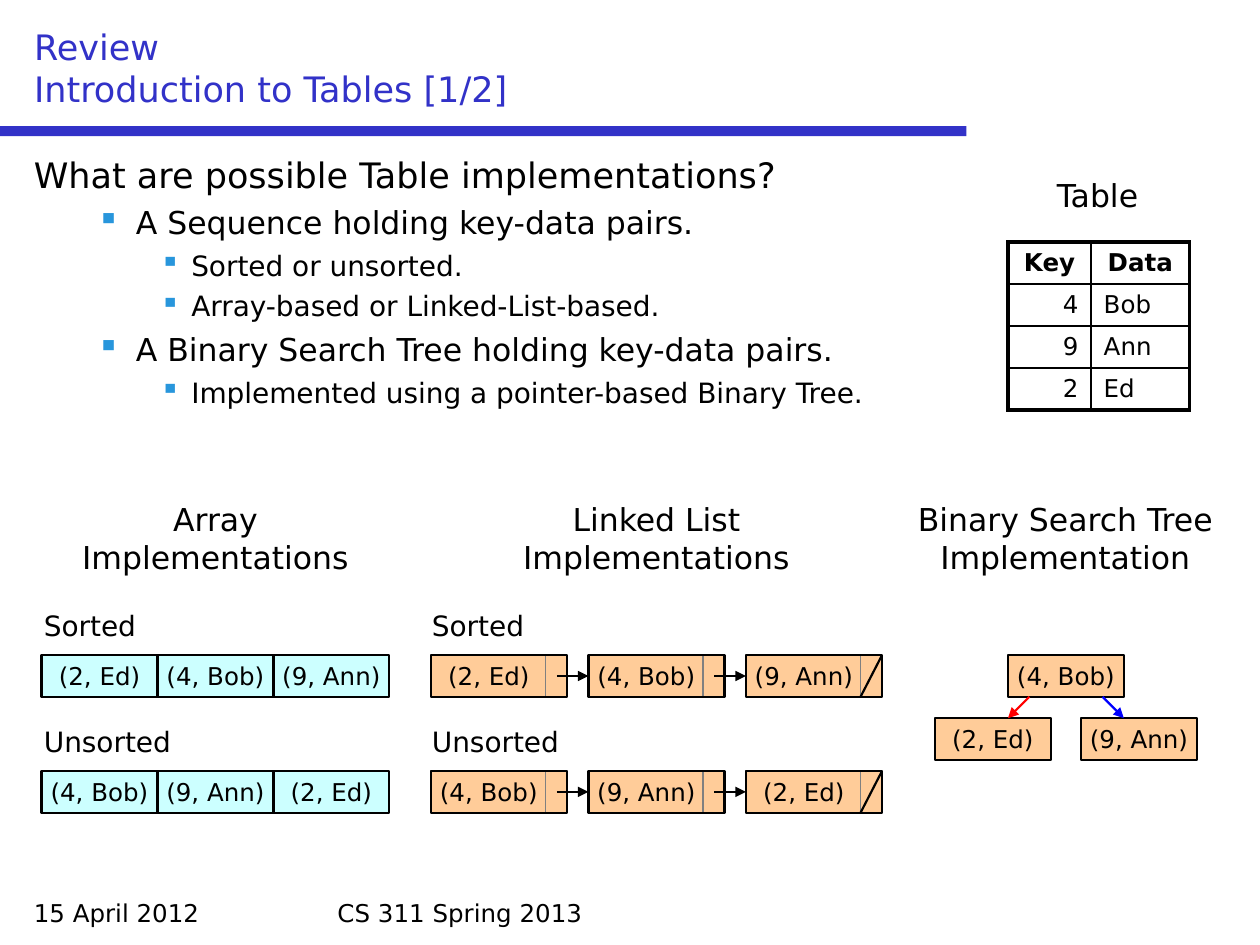
from dataclasses import dataclass

from lxml import etree
from pptx import Presentation
from pptx.dml.color import RGBColor
from pptx.enum.shapes import MSO_CONNECTOR, MSO_SHAPE
from pptx.enum.text import MSO_ANCHOR, PP_ALIGN
from pptx.oxml.ns import qn
from pptx.util import Inches, Pt

LEFT, CENTER, RIGHT = PP_ALIGN.LEFT, PP_ALIGN.CENTER, PP_ALIGN.RIGHT
TOP, MIDDLE, BOTTOM = MSO_ANCHOR.TOP, MSO_ANCHOR.MIDDLE, MSO_ANCHOR.BOTTOM
RECTANGLE, STRAIGHT = MSO_SHAPE.RECTANGLE, MSO_CONNECTOR.STRAIGHT
FONT = "DejaVu Sans"
BLACK, GRAY, BLUE, BULLET = "000000", "808080", "3232C8", "2896DC"
CYAN, ORANGE = "CCFFFF", "FFCC99"
ITEM_WIDTH, ITEM_HEIGHT = 0.92, 0.33
POINTER_WIDTH, NODE_PITCH = 0.17, 1.25
NODE_WIDTH = 1.08


@dataclass
class Label:
    text: str
    left: float
    top: float
    width: float
    height: float
    size: int
    align: PP_ALIGN = LEFT


@dataclass
class Level:
    size: int
    margin: float
    indent: float
    bullet: bool


@dataclass
class Example:
    name: str
    top: float
    items: list[str]


LEVELS = [
    Level(20, 0.38, -0.38, False),
    Level(18, 0.81, -0.31, True),
    Level(16, 1.25, -0.25, True),
]
OUTLINE = [
    (0, "What are possible Table implementations?"),
    (1, "A Sequence holding key-data pairs."),
    (2, "Sorted or unsorted."),
    (2, "Array-based or Linked-List-based."),
    (1, "A Binary Search Tree holding key-data pairs."),
    (2, "Implemented using a pointer-based Binary Tree."),
]
LABELS = [
    Label("15 April 2012", 0.17, 7.08, 2.33, 0.33, 14),
    Label("CS 311 Spring 2013", 2.58, 7.08, 4.83, 0.33, 14),
    Label("Table", 8.17, 1.35, 1.08, 0.4, 18, CENTER),
    Label("Array Implementations", 0.42, 3.92, 2.58, 0.71, 18, CENTER),
    Label("Linked List Implementations", 3.92, 3.92, 2.58, 0.71, 18, CENTER),
    Label("Binary Search Tree Implementation", 7.08, 3.92, 2.75, 0.71, 18, CENTER),
]
EXAMPLES = [
    Example("Sorted", 5.2, ["(2, Ed)", "(4, Bob)", "(9, Ann)"]),
    Example("Unsorted", 6.12, ["(4, Bob)", "(9, Ann)", "(2, Ed)"]),
]
ROWS = [("Key", "Data"), ("4", "Bob"), ("9", "Ann"), ("2", "Ed")]


def color(value: str) -> RGBColor:
    return RGBColor.from_string(value)


def write(frame, text: str, *, size=14, fill=BLACK, bold=False, align=LEFT,
          anchor=TOP, wrap=True) -> None:
    frame.word_wrap = wrap
    frame.vertical_anchor = anchor
    para = frame.paragraphs[0]
    para.text = text
    format_paragraph(para, size=size, fill=fill, bold=bold, align=align)


def format_paragraph(para, *, size, fill=BLACK, bold=False, align=LEFT) -> None:
    para.alignment = align
    for span in para.runs:
        span.font.name = FONT
        span.font.size = Pt(size)
        span.font.bold = bold
        span.font.color.rgb = color(fill)


def draw_label(page, label: Label) -> None:
    box = page.shapes.add_textbox(Inches(label.left), Inches(label.top),
                                  Inches(label.width), Inches(label.height))
    write(box.text_frame, label.text, size=label.size, align=label.align)


def draw_box(page, left: float, top: float, width=ITEM_WIDTH, height=ITEM_HEIGHT, *,
             text="", fill=None, line=BLACK, weight=1.25) -> None:
    box = page.shapes.add_shape(RECTANGLE, Inches(left), Inches(top),
                                Inches(width), Inches(height))
    box.shadow.inherit = False
    if fill:
        box.fill.solid()
        box.fill.fore_color.rgb = color(fill)
    else:
        box.fill.background()
    if line:
        box.line.color.rgb = color(line)
        box.line.width = Pt(weight)
    else:
        box.line.fill.background()
    if text:
        write(box.text_frame, text, align=CENTER, anchor=MIDDLE, wrap=False)


def draw_line(page, start: tuple, end: tuple, *, stroke=BLACK, arrow=True) -> None:
    line = page.shapes.add_connector(STRAIGHT, *map(Inches, start + end))
    line.line.color.rgb = color(stroke)
    line.line.width = Pt(1.25)
    if arrow:
        etree.SubElement(line.line._get_or_add_ln(), qn("a:tailEnd"), type="triangle")
    etree.SubElement(line._element.spPr, qn("a:effectLst"))


def draw_outline(page) -> None:
    box = page.shapes.add_textbox(Inches(0.17), Inches(1.17), Inches(9.67), Inches(5.83))
    frame = box.text_frame
    frame.word_wrap = True
    for index, (depth, text) in enumerate(OUTLINE):
        level = LEVELS[depth]
        para = frame.add_paragraph() if index else frame.paragraphs[0]
        para.level = depth
        properties = para._p.get_or_add_pPr()
        properties.set("marL", str(Inches(level.margin)))
        properties.set("indent", str(Inches(level.indent)))
        if level.bullet:
            tint = etree.SubElement(properties, qn("a:buClr"))
            etree.SubElement(tint, qn("a:srgbClr"), val=BULLET)
            etree.SubElement(properties, qn("a:buChar"), char="▪")
        if index:
            para.space_before = Pt(4.2)
        para.add_run().text = text
        format_paragraph(para, size=level.size)


def set_borders(cell, weights: dict[str, float]) -> None:
    properties = cell._tc.get_or_add_tcPr()
    for position, (side, weight) in enumerate(weights.items()):
        border = etree.Element(qn(f"a:ln{side}"), w=str(Pt(weight)))
        solid = etree.SubElement(border, qn("a:solidFill"))
        etree.SubElement(solid, qn("a:srgbClr"), val=BLACK)
        properties.insert(position, border)


def draw_table(page) -> None:
    last = len(ROWS) - 1
    table = page.shapes.add_table(len(ROWS), 2, Inches(8), Inches(1.92),
                                  Inches(1.44), Inches(1.33)).table
    table.horz_banding = False
    for column, width in zip(table.columns, (0.66, 0.78)):
        column.width = Inches(width)
    for row, texts in enumerate(ROWS):
        for column, text in enumerate(texts):
            cell = table.cell(row, column)
            align = CENTER if row == 0 else (RIGHT, LEFT)[column]
            write(cell.text_frame, text, bold=row == 0, align=align)
            cell.vertical_anchor = MIDDLE
            cell.fill.background()
            outer = {"L": column == 0, "R": column == 1, "T": row == 0, "B": row == last}
            set_borders(cell, {side: 2.25 if edge else 1 for side, edge in outer.items()})


def draw_array(page, example: Example) -> None:
    draw_label(page, Label(example.name, 0.25, example.top - 0.42, 1.33, 0.37, 16))
    for index, text in enumerate(example.items):
        draw_box(page, 0.33 + index * ITEM_WIDTH, example.top, text=text, fill=CYAN)


def draw_linked_list(page, example: Example) -> None:
    top, middle, bottom = (example.top + ITEM_HEIGHT * part for part in (0, 0.5, 1))
    draw_label(page, Label(example.name, 3.33, top - 0.42, 1.33, 0.37, 16))
    for index, text in enumerate(example.items):
        left = 3.42 + index * NODE_PITCH
        pointer = left + NODE_WIDTH - POINTER_WIDTH
        draw_box(page, left, top, text=text, fill=ORANGE, line=GRAY, weight=0.75)
        draw_box(page, pointer, top, POINTER_WIDTH, fill=ORANGE, line=GRAY, weight=0.75)
        draw_box(page, left, top, NODE_WIDTH)
        if index < len(example.items) - 1:
            draw_line(page, (left + 1, middle), (left + NODE_PITCH, middle))
        else:
            draw_line(page, (pointer, bottom), (left + NODE_WIDTH, top), arrow=False)


def draw_tree(page) -> None:
    for text, left, top in (("(4, Bob)", 8, 5.2), ("(2, Ed)", 7.42, 5.7), ("(9, Ann)", 8.58, 5.7)):
        draw_box(page, left, top, text=text, fill=ORANGE)
    draw_line(page, (8.17, 5.53), (8, 5.7), stroke="FF0000")
    draw_line(page, (8.75, 5.53), (8.92, 5.7), stroke="0000FF")


def main() -> None:
    deck = Presentation()
    deck.slide_width, deck.slide_height = Inches(10), Inches(7.5)
    page = deck.slides.add_slide(deck.slide_layouts[5])
    title = page.shapes.title
    title.left, title.top = Inches(0.17), Inches(0.17)
    title.width, title.height = Inches(9.67), Inches(0.75)
    write(title.text_frame, "Review\vIntroduction to Tables [1/2]",
          size=20, fill=BLUE, anchor=BOTTOM)
    draw_box(page, 0, 1, 7.67, 0.08, fill=BLUE, line=None)
    draw_outline(page)
    draw_table(page)
    for label in LABELS:
        draw_label(page, label)
    for example in EXAMPLES:
        draw_array(page, example)
        draw_linked_list(page, example)
    draw_tree(page)
    deck.save("out.pptx")


if __name__ == "__main__":
    main()
